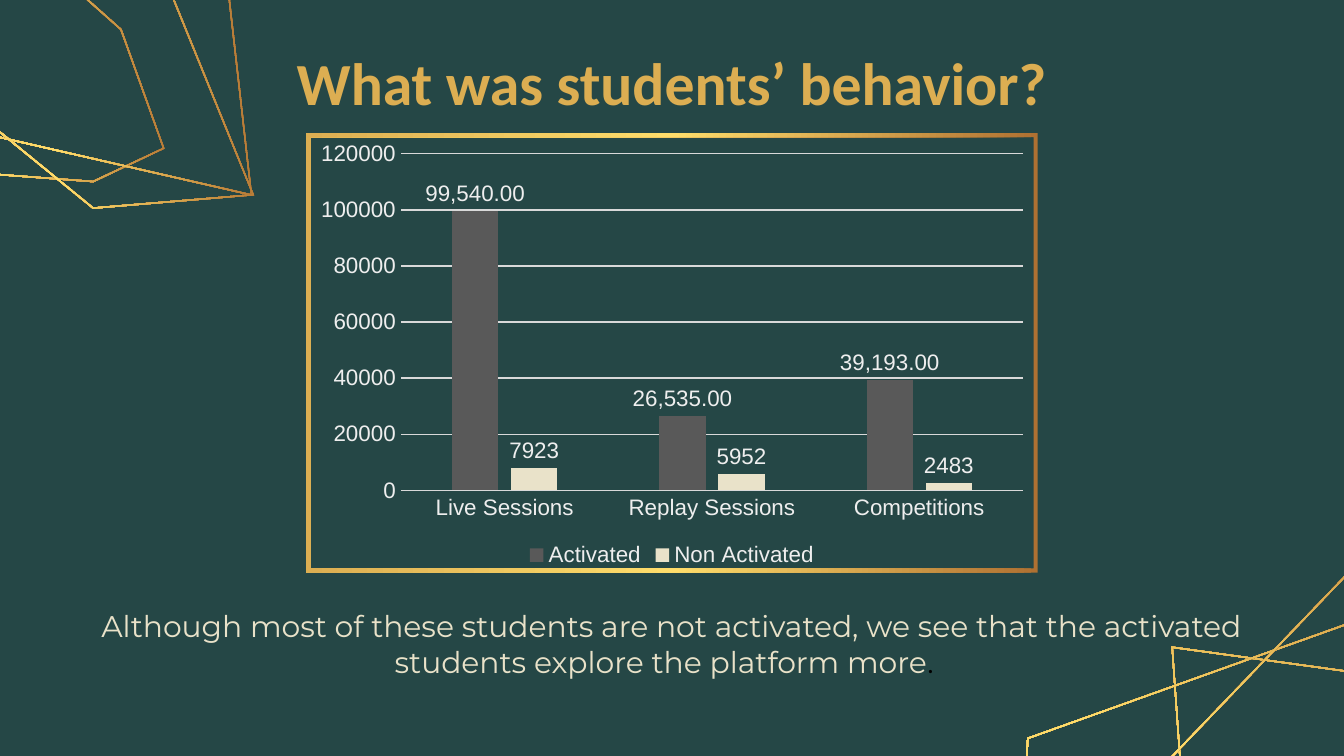
"""Build a slide with a column chart of student behaviour in a gold frame."""
import copy
import dataclasses
import math

import pptx
import pptx.chart.data
import pptx.dml.color
import pptx.enum.chart
import pptx.enum.text
import pptx.oxml.ns
import pptx.util

Inches = pptx.util.Inches
Pt = pptx.util.Pt
RGB = pptx.dml.color.RGBColor.from_string
Point = tuple[float, float]


@dataclasses.dataclass(frozen=True)
class Theme:
    """Colours, fonts and type sizes."""
    back: str = "254746"
    gold: str = "DCAE52"
    cream: str = "E9E2C9"
    grey: str = "595959"
    black: str = "000000"
    label: str = "EEEEEE"
    rule: str = "D9D9D9"
    gradient: tuple = ("AF7132", "FFDD6B", "DCAE52")
    title_font: str = "Calibri"
    body_font: str = "Montserrat"
    chart_font: str = "Arial"
    title_size: int = 32
    body_size: int = 16
    chart_size: int = 12
    rule_width: float = 0.75


@dataclasses.dataclass(frozen=True)
class Outline:
    """A closed gold line around a polygon, turned about its centre."""
    centre: Point
    turn: float
    points: tuple[Point, ...]
    thick: float = 0.01


@dataclasses.dataclass(frozen=True)
class Series:
    """One chart series with its colour and label format."""
    name: str
    values: tuple[int, ...]
    colour: str
    number_format: str


T = Theme()
LEFT, TOP, WIDTH, HEIGHT = 2.28, 0.99, 5.44, 3.27

OUTLINES = (
    Outline((10.24, 6.52), 25.2, ((8.97, 8.35), (8.72, 4.81), (13.08, 5.41), (12.29, 7.09))),
    Outline((-0.17, 0.21), 85.2, ((-1.54, -0.44), (-0.45, -0.97), (0.89, 0.22), (1.21, 1.11),
                                  (0.68, 1.36), (-1.08, 1.23))),
    Outline((0.35, 0.4), 85.2, ((-1.11, 0.1), (-0.71, -0.7), (1.71, -0.04), (1.88, 1.46),
                                (-0.26, 0.97))),
    Outline((0.34, 0.21), 85.2, ((-1.11, 0.1), (0.8, -1.19), (1.88, 1.46), (0.68, 1.56))),
    Outline((9.44, 5.99), 23.8, ((7.56, 7.34), (7.64, 5.49), (10.21, 4.57), (11.63, 4.79),
                                 (11.59, 5.69), (10.13, 7.94))),
    Outline((9.85, 6.17), 23.8, ((8.38, 7.9), (7.6, 6.79), (10.26, 4.02), (12.38, 4.9),
                                 (10.17, 7.4))),
    Outline((LEFT + WIDTH / 2, TOP + HEIGHT / 2), 90,
            ((LEFT, TOP + HEIGHT), (LEFT, TOP), (LEFT + WIDTH, TOP),
             (LEFT + WIDTH, TOP + HEIGHT)), 0.03),
)

CATEGORIES = ("Live Sessions", "Replay Sessions", "Competitions")
SERIES = (
    Series("Activated", (99540, 26535, 39193), T.grey, "#,##0.00"),
    Series("Non Activated", (7923, 5952, 2483), T.cream, "General"),
)


def rotate(point: Point, centre: Point, degrees: float) -> Point:
    """Turn a point clockwise about a centre."""
    a = math.radians(degrees)
    x, y = point[0] - centre[0], point[1] - centre[1]
    return (centre[0] + x * math.cos(a) - y * math.sin(a),
            centre[1] + x * math.sin(a) + y * math.cos(a))


def inset(points: list[Point], thick: float) -> list[Point]:
    """Move the corners of a clockwise polygon inwards by a thickness."""
    normals = []
    for (x1, y1), (x2, y2) in zip(points, points[1:] + points[:1]):
        length = math.hypot(x2 - x1, y2 - y1)
        normals.append(((y1 - y2) / length, (x2 - x1) / length))
    inner = []
    for (x, y), (ax, ay), (bx, by) in zip(points, normals[-1:] + normals[:-1], normals):
        k = thick / (1 + ax * bx + ay * by)
        inner.append((x + k * (ax + bx), y + k * (ay + by)))
    return inner


def draw_outline(s: pptx.slide.Slide, outline: Outline) -> None:
    """Draw an outline as a ring with a gradient fill."""
    outer = [rotate(p, outline.centre, -outline.turn) for p in outline.points]
    rings = [[(Inches(x), Inches(y)) for x, y in ring]
             for ring in (outer, inset(outer, outline.thick)[::-1])]
    builder = s.shapes.build_freeform(*rings[0][0])
    builder.add_line_segments(rings[0][1:])
    builder.move_to(*rings[1][0])
    builder.add_line_segments(rings[1][1:])
    sp = builder.convert_to_shape()
    sp.rotation = outline.turn
    sp.shadow.inherit = False
    sp.line.fill.background()
    sp.fill.gradient()
    sp.fill.gradient_angle = 270
    stops = sp._element.spPr.find(".//" + pptx.oxml.ns.qn("a:gsLst"))
    stops.insert(1, copy.deepcopy(stops[0]))
    for i, (stop, colour) in enumerate(zip(sp.fill.gradient_stops, T.gradient)):
        stop.position = i / 2
        stop.color.rgb = RGB(colour)


def style_font(font: pptx.text.text.Font, *, name: str = T.chart_font,
               size: float = T.chart_size, colour: str = T.label, bold: bool = False) -> None:
    """Set the face, size, colour and weight of a font."""
    font.name, font.size, font.bold = name, Pt(size), bold
    font.color.rgb = RGB(colour)


def add_run(p: pptx.text.text._Paragraph, text: str, **style) -> None:
    """Append formatted text to a paragraph."""
    r = p.add_run()
    r.text = text
    style_font(r.font, **style)


def place_text(sp: pptx.shapes.base.BaseShape, box: tuple, anchor) -> pptx.text.text._Paragraph:
    """Place a text shape and return its centred first paragraph."""
    sp.left, sp.top, sp.width, sp.height = map(Inches, box)
    tf = sp.text_frame
    tf.word_wrap = True
    tf.auto_size = pptx.enum.text.MSO_AUTO_SIZE.NONE
    tf.vertical_anchor = anchor
    tf.margin_left = tf.margin_right = tf.margin_top = tf.margin_bottom = Inches(0.1)
    p = tf.paragraphs[0]
    p.alignment = pptx.enum.text.PP_ALIGN.CENTER
    return p


def style_rule(line: pptx.dml.line.LineFormat) -> None:
    """Format an axis line or gridline."""
    line.color.rgb = RGB(T.rule)
    line.width = Pt(T.rule_width)


def add_sessions_chart(s: pptx.slide.Slide) -> None:
    """Add the clustered column chart."""
    data = pptx.chart.data.CategoryChartData()
    data.categories = CATEGORIES
    for series in SERIES:
        data.add_series(series.name, series.values)
    enum = pptx.enum.chart
    chart = s.shapes.add_chart(enum.XL_CHART_TYPE.COLUMN_CLUSTERED,
                               *map(Inches, (LEFT, TOP, WIDTH, HEIGHT)), data).chart
    style_font(chart.font, size=10, colour=T.black)
    chart.has_title = False
    chart.has_legend = True
    chart.legend.position = enum.XL_LEGEND_POSITION.BOTTOM
    chart.legend.include_in_layout = False
    style_font(chart.legend.font)
    for axis in (chart.category_axis, chart.value_axis):
        axis.major_tick_mark = axis.minor_tick_mark = enum.XL_TICK_MARK.NONE
        style_font(axis.tick_labels.font)
    style_rule(chart.category_axis.format.line)
    value = chart.value_axis
    value.format.line.fill.background()
    style_rule(value.major_gridlines.format.line)
    plot = chart.plots[0]
    plot.vary_by_categories = False
    plot.gap_width, plot.overlap = 219, -27
    for drawn, series in zip(plot.series, SERIES):
        drawn.format.fill.solid()
        drawn.format.fill.fore_color.rgb = RGB(series.colour)
        labels = drawn.data_labels
        labels.show_value = True
        labels.position = enum.XL_LABEL_POSITION.OUTSIDE_END
        labels.number_format = series.number_format
        labels.number_format_is_linked = False
        style_font(labels.font)


def main() -> None:
    """Build and save the slide."""
    prs = pptx.Presentation()
    prs.slide_width, prs.slide_height = Inches(10), Inches(10 * 9 / 16)
    s = prs.slides.add_slide(prs.slide_layouts[5])
    s.background.fill.solid()
    s.background.fill.fore_color.rgb = RGB(T.back)
    for outline in OUTLINES:
        draw_outline(s, outline)
    anchor = pptx.enum.text.MSO_ANCHOR
    p = place_text(s.shapes.title, (1.84, 0.37, 6.32, 0.47), anchor.MIDDLE)
    add_run(p, "What was students’ behavior?", name=T.title_font, size=T.title_size,
            colour=T.gold, bold=True)
    p = place_text(s.shapes.add_textbox(0, 0, 0, 0), (0.45, 4.42, 9.1, 1.1), anchor.TOP)
    body = {"name": T.body_font, "size": T.body_size}
    add_run(p, "Although most of these students are not activated, we see that the "
               "activated students explore the platform more", colour=T.cream, **body)
    add_run(p, ".  ", colour=T.black, **body)
    add_sessions_chart(s)
    prs.save("out.pptx")


if __name__ == "__main__":
    main()
